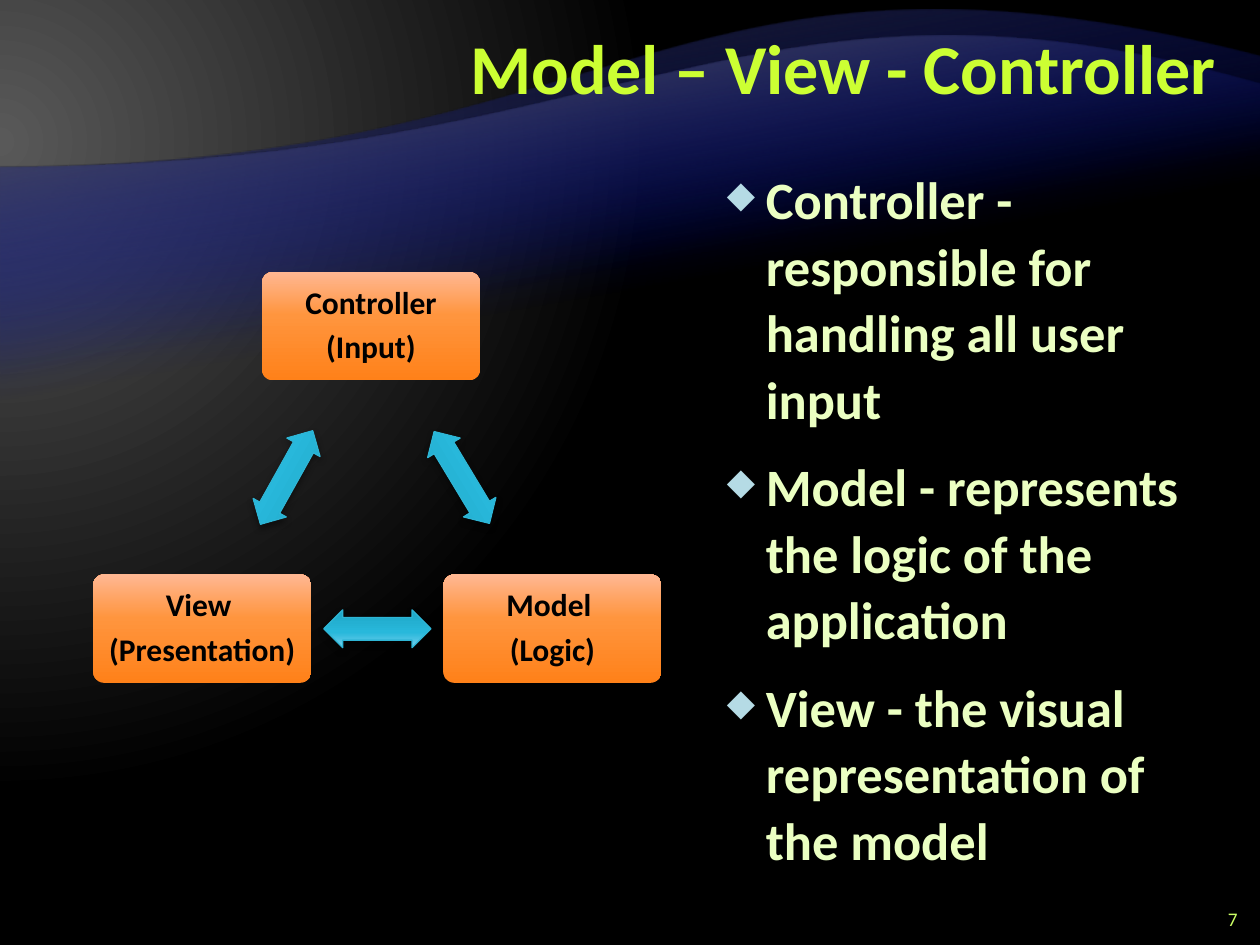
from pptx import Presentation
from pptx.dml.color import RGBColor
from pptx.enum.shapes import MSO_SHAPE
from pptx.enum.text import MSO_ANCHOR, MSO_AUTO_SIZE, PP_ALIGN
from pptx.oxml import parse_xml
from pptx.oxml.ns import nsdecls, qn
from pptx.util import Inches, Pt

LIME = RGBColor(0xCC, 0xFF, 0x33)
PALE_LIME = RGBColor(0xEB, 0xFF, 0xC2)
NUMBER_LIME = RGBColor(0xCC, 0xFF, 0x66)
BULLET_BLUE = RGBColor(0xB5, 0xDB, 0xE5)
ARROW_EDGE = RGBColor(0x2E, 0xB5, 0xD5)
BLACK = RGBColor(0, 0, 0)
NAVY = RGBColor(0x00, 0x0D, 0x9E)
DARK_GRAY = RGBColor(0x26, 0x26, 0x26)
GRAY = RGBColor(0x59, 0x59, 0x59)
ORANGES = [(0, RGBColor(0xFF, 0x81, 0x19)), (60, RGBColor(0xFF, 0x95, 0x3E)),
           (100, RGBColor(0xFF, 0xB7, 0x92))]
CYANS = [(0, RGBColor(0x1E, 0xA6, 0xC6)), (60, RGBColor(0x28, 0xB8, 0xDB)),
         (100, RGBColor(0x77, 0xD0, 0xEE))]

TITLE_FONT = {"name": "Calibri", "size": Pt(40), "bold": True}
BODY_FONT = {"name": "Calibri", "size": Pt(30), "bold": True}
NODE_FONT = {"name": "Calibri", "size": Pt(18), "bold": True}
NUMBER_FONT = {"name": "Calibri", "size": Pt(11), "bold": False}

NODE_W, NODE_H = 1.73, 0.86
ARROW_W, ARROW_H = 0.85, 0.3
NODES = [(1.34, 0, ["Controller", "(Input)"]),
         (2.78, 2.4, ["Model ", "(Logic)"]),
         (0, 2.4, ["View ", "(Presentation)"])]
ARROWS = [(2.5, 1.48, 58.9), (1.83, 2.68, 180), (1.11, 1.48, 299.2)]
ROLES = ["Controller - responsible for handling all user input",
         "Model - represents the logic of the application",
         "View - the visual representation of the model"]


def set_values(target, values):
    """Set each named attribute on the target."""
    for name, value in values.items():
        setattr(target, name, value)


def set_font(p, values, color):
    """Format the runs of a paragraph."""
    for r in p.runs:
        set_values(r.font, values)
        r.font.color.rgb = color


def set_gradient(parent, fill, stops, direction):
    """Fill with (position, colour[, opacity]) stops along a direction element."""
    fill.solid()
    gs = "".join(
        f'<a:gs pos="{pos * 1000}"><a:srgbClr val="{color}">'
        + "".join(f'<a:alpha val="{a * 1000}"/>' for a in alpha)
        + "</a:srgbClr></a:gs>"
        for pos, color, *alpha in stops)
    grad = parse_xml(f'<a:gradFill {nsdecls("a")} rotWithShape="1">'
                     f"<a:gsLst>{gs}</a:gsLst>{direction}</a:gradFill>")
    parent.replace(parent.find(qn("a:solidFill")), grad)


def linear(angle):
    """Return a linear gradient direction in degrees."""
    return f'<a:lin ang="{angle * 60000}" scaled="0"/>'


def add_wave(slide, top, bottom, left_y, controls, edge):
    """Add a full-width wave with a curved upper edge."""
    builder = slide.shapes.build_freeform(Inches(10), Inches(bottom))
    builder.add_line_segments([(Inches(x), Inches(y)) for x, y in
                               [(0, bottom), (0, left_y), (10, top)]])
    sp = builder.convert_to_shape()
    sp.shadow.inherit = False
    sp.line.fill.background()
    line = sp._element.findall(".//" + qn("a:lnTo"))[-1]
    points = "".join(f'<a:pt x="{Inches(x)}" y="{Inches(y - top)}"/>'
                     for x, y in controls + [(10, top)])
    curve = parse_xml(f'<a:cubicBezTo {nsdecls("a")}>{points}</a:cubicBezTo>')
    line.getparent().replace(line, curve)
    set_gradient(sp._element.spPr, sp.fill, [(65, NAVY, 0), (100, edge)], linear(260))


def add_background(slide):
    """Paint the circular glow and the two waves."""
    fill = slide.background.fill
    fill.solid()
    set_gradient(slide._element.find(".//" + qn("p:bgPr")), fill,
                 [(0, GRAY), (83, BLACK)],
                 '<a:path path="circle"><a:fillToRect l="20000" t="30000" '
                 'r="135000" b="100000"/></a:path>')
    add_wave(slide, 0.45, 6.53, 1.33, [(5, 1.33), (5.34, -0.75)], DARK_GRAY)
    add_wave(slide, 0.67, 5.57, 1.33, [(5, 1.33), (5.98, -0.49)], GRAY)


def add_title(slide, left, top, width, height):
    """Place and format the title placeholder."""
    title = slide.shapes.title
    set_values(title, {"left": Inches(left), "top": Inches(top),
                       "width": Inches(width), "height": Inches(height)})
    tf = title.text_frame
    tf.text = "Model – View - Controller"
    set_values(tf, {"vertical_anchor": MSO_ANCHOR.MIDDLE, "auto_size": MSO_AUTO_SIZE.NONE})
    p = tf.paragraphs[0]
    set_values(p, {"alignment": PP_ALIGN.RIGHT, "line_spacing": Pt(40)})
    set_font(p, TITLE_FONT, LIME)


def add_node(slide, left, top, lines):
    """Add one labelled component of the cycle."""
    sp = slide.shapes.add_shape(MSO_SHAPE.ROUNDED_RECTANGLE, Inches(left), Inches(top),
                                Inches(NODE_W), Inches(NODE_H))
    sp.adjustments[0] = 0.1
    sp.shadow.inherit = False
    sp.line.fill.background()
    set_gradient(sp._element.spPr, sp.fill, ORANGES, linear(270))
    tf = sp.text_frame
    set_values(tf, {"word_wrap": True, "vertical_anchor": MSO_ANCHOR.MIDDLE})
    set_values(tf, {f"margin_{side}": Inches(0.09)
                    for side in ("left", "top", "right", "bottom")})
    tf.text = "\n".join(lines)
    for p in tf.paragraphs:
        set_values(p, {"alignment": PP_ALIGN.CENTER, "line_spacing": 0.9,
                       "space_after": Pt(6)})
        set_font(p, NODE_FONT, BLACK)


def add_arrow(slide, left, top, rotation):
    """Add one double-headed arrow with a soft shadow."""
    sp = slide.shapes.add_shape(MSO_SHAPE.LEFT_RIGHT_ARROW, Inches(left), Inches(top),
                                Inches(ARROW_W), Inches(ARROW_H))
    sp.adjustments[0] = 0.6
    sp.adjustments[1] = 0.5
    sp.rotation = rotation
    sp.line.color.rgb = ARROW_EDGE
    sp.line.width = Pt(0.75)
    set_gradient(sp._element.spPr, sp.fill, CYANS, linear(270))
    sp._element.spPr.append(parse_xml(
        f'<a:effectLst {nsdecls("a")}><a:outerShdw blurRad="{Pt(4)}" dist="{Pt(2)}" '
        f'dir="5400000" rotWithShape="0"><a:srgbClr val="{BLACK}">'
        '<a:alpha val="43000"/></a:srgbClr></a:outerShdw></a:effectLst>'))


def add_cycle(slide, left, top):
    """Draw the three components and the arrows between them."""
    for x, y, lines in NODES:
        add_node(slide, left + x, top + y, lines)
    for x, y, rotation in ARROWS:
        add_arrow(slide, left + x, top + y, rotation)


def add_bullet(p):
    """Give a paragraph a hanging diamond bullet."""
    pPr = p._p.get_or_add_pPr()
    indent = Inches(0.31)
    pPr.set("marL", str(indent))
    pPr.set("indent", str(-indent))
    for xml in (f'<a:buClr {nsdecls("a")}><a:srgbClr val="{BULLET_BLUE}"/></a:buClr>',
                f'<a:buSzPct {nsdecls("a")} val="70000"/>',
                f'<a:buChar {nsdecls("a")} char="◆"/>',
                f'<a:tabLst {nsdecls("a")}><a:tab pos="{indent}" algn="l"/></a:tabLst>'):
        pPr.append(parse_xml(xml))


def add_roles(slide, left, top, width, height):
    """List what each component does."""
    tf = slide.shapes.add_textbox(Inches(left), Inches(top),
                                  Inches(width), Inches(height)).text_frame
    tf.word_wrap = True
    tf.text = "\n".join(ROLES)
    for i, p in enumerate(tf.paragraphs):
        add_bullet(p)
        set_values(p, {"line_spacing": Pt(38), "space_before": Pt(6 if i else 0),
                       "space_after": Pt(6)})
        set_font(p, BODY_FONT, PALE_LIME)


def add_number(slide, left, top, width, height):
    """Add the slide number."""
    tf = slide.shapes.add_textbox(Inches(left), Inches(top),
                                  Inches(width), Inches(height)).text_frame
    set_values(tf, {"word_wrap": True, "vertical_anchor": MSO_ANCHOR.MIDDLE, "text": "7"})
    p = tf.paragraphs[0]
    p.alignment = PP_ALIGN.RIGHT
    set_font(p, NUMBER_FONT, NUMBER_LIME)


def main():
    """Build the slide and save it."""
    prs = Presentation()
    prs.slide_width, prs.slide_height = Inches(10), Inches(7.5)
    s = prs.slides.add_slide(prs.slide_layouts[5])
    add_background(s)
    add_title(s, 2, 0.08, 7.75, 1)
    s.shapes._spTree.append(s.shapes.title._element)
    add_cycle(s, 0.74, 2.16)
    add_number(s, 9.42, 7.17, 0.5, 0.25)
    add_roles(s, 5.67, 1.25, 4, 5.77)
    prs.save("out.pptx")


if __name__ == "__main__":
    main()
